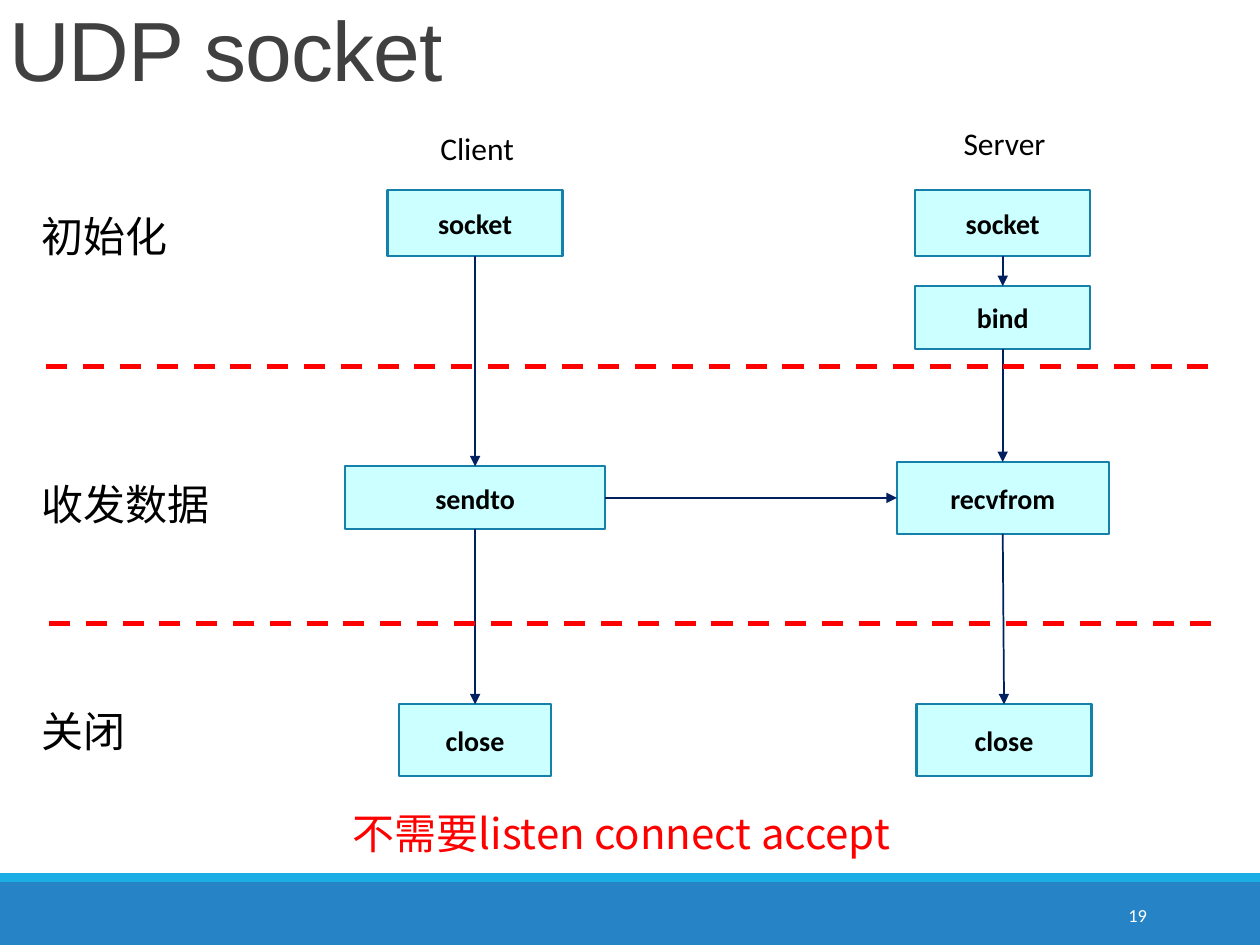
from pptx import Presentation
from pptx.dml.color import RGBColor
from pptx.enum.dml import MSO_LINE
from pptx.enum.shapes import MSO_CONNECTOR, MSO_SHAPE
from pptx.enum.text import MSO_ANCHOR as Anchor, MSO_AUTO_SIZE as AutoSize, PP_ALIGN as Align
from pptx.oxml.ns import qn
from pptx.util import Pt
from lxml.etree import SubElement


def color(value):
    return RGBColor.from_string(value)


class SlideBuilder:
    """Holds the slide and the style of its diagram."""

    latin, chinese = "Calibri", "Noto Sans CJK SC"
    black, white, red = "000000", "FFFFFF", "FF0000"
    box_fill, box_line, arrow_line = "CCFFFF", "1580A9", "002060"

    def __init__(self, slide):
        self.slide = slide

    def set_text(self, shape, text, size, font, ink, align=Align.LEFT, bold=False):
        frame = shape.text_frame
        frame.text = text
        frame.word_wrap = True
        paragraph = frame.paragraphs[0]
        paragraph.alignment = align
        run = paragraph.runs[0]
        run.font.size, run.font.name, run.font.bold = Pt(size), font, bold
        run.font.color.rgb = color(ink)
        SubElement(run.font._element, qn("a:ea")).set("typeface", self.chinese)
        return frame

    def title(self, text, left, top, width, height):
        shape = self.slide.shapes.title
        shape.left, shape.top, shape.width, shape.height = map(Pt, (left, top, width, height))
        frame = self.set_text(shape, text, 48, "Arial", "404040")
        frame.auto_size, frame.vertical_anchor = AutoSize.NONE, Anchor.BOTTOM
        paragraph = frame.paragraphs[0]
        paragraph.line_spacing = 0.85
        paragraph.runs[0].font._element.set("spc", "-50")

    def label(self, text, left, top, width, height, size=24, font=chinese, ink=black,
              align=Align.LEFT):
        shape = self.slide.shapes.add_textbox(Pt(left), Pt(top), Pt(width), Pt(height))
        frame = self.set_text(shape, text, size, font, ink, align)
        if align == Align.LEFT:
            frame.margin_right = 0
        return frame

    def rectangle(self, left, top, width, height, fill):
        shape = self.slide.shapes.add_shape(
            MSO_SHAPE.RECTANGLE, Pt(left), Pt(top), Pt(width), Pt(height))
        shape.shadow.inherit = False
        shape.fill.solid()
        shape.fill.fore_color.rgb = color(fill)
        shape.line.fill.background()
        return shape

    def box(self, text, center, top, width, height):
        shape = self.rectangle(center - width / 2, top, width, height, self.box_fill)
        shape.line.color.rgb = color(self.box_line)
        shape.line.width = Pt(1.25)
        frame = self.set_text(shape, text, 16, self.latin, self.black, Align.CENTER, True)
        frame.vertical_anchor = Anchor.MIDDLE
        return shape

    def line(self, start_x, start_y, end_x, end_y, ink, width):
        connector = self.slide.shapes.add_connector(
            MSO_CONNECTOR.STRAIGHT, Pt(start_x), Pt(start_y), Pt(end_x), Pt(end_y))
        connector.line.color.rgb = color(ink)
        connector.line.width = Pt(width)
        SubElement(connector._element.spPr, qn("a:effectLst"))
        return connector

    def arrow(self, source, target, source_side=2, target_side=0):
        connector = self.line(0, 0, 0, 0, self.arrow_line, 1)
        connector.begin_connect(source, source_side)
        connector.end_connect(target, target_side)
        SubElement(connector.line._get_or_add_ln(), qn("a:tailEnd")).set("type", "triangle")

    def divider(self, left, top):
        connector = self.line(left, top, left + 670.5, top, self.red, 3)
        connector.line.dash_style = MSO_LINE.DASH


def main():
    presentation = Presentation()
    presentation.slide_width, presentation.slide_height = Pt(720), Pt(540)
    builder = SlideBuilder(presentation.slides.add_slide(presentation.slide_layouts[5]))

    builder.rectangle(0, 504, 720, 36, "2683C6")
    builder.rectangle(0, 499, 720, 5, "1CADE4")
    number = builder.label("19", 584.5, 508.5, 78, 28.5, 10.5, builder.latin,
                           builder.white, Align.RIGHT)
    number.vertical_anchor = Anchor.MIDDLE
    builder.title("UDP socket", -2, -54.5, 594, 114.5)

    builder.label("Client", 244.5, 70, 101, 52.5, 18, builder.latin)
    builder.label("Server", 543.5, 67.5, 117.5, 52.5, 18, builder.latin)

    client, server = 271.5, 573
    client_boxes = [builder.box(text, client, *place) for text, *place in (
        ("socket", 108.5, 100, 38), ("sendto", 266.5, 149, 36), ("close", 402.5, 87, 41))]
    server_boxes = [builder.box(text, server, *place) for text, *place in (
        ("socket", 108.5, 100, 38), ("bind", 163.5, 100, 36), ("recvfrom", 264, 121, 41))]
    server_boxes.append(builder.box("close", server + 0.75, 402.5, 100, 41))
    for boxes in (client_boxes, server_boxes):
        for source, target in zip(boxes, boxes[1:]):
            builder.arrow(source, target)
    builder.arrow(client_boxes[1], server_boxes[2], 3, 1)

    for stage, top, width in (("初始化", 116.5, 87), ("收发数据", 270, 111.5), ("关闭", 399.5, 63.5)):
        builder.label(stage, 16.5, top, width, 36)
    builder.divider(26.5, 209.5)
    builder.divider(28, 356.5)
    builder.label("不需要listen connect accept", 194.5, 458, 331, 36, ink=builder.red)

    presentation.save("out.pptx")


if __name__ == "__main__":
    main()
